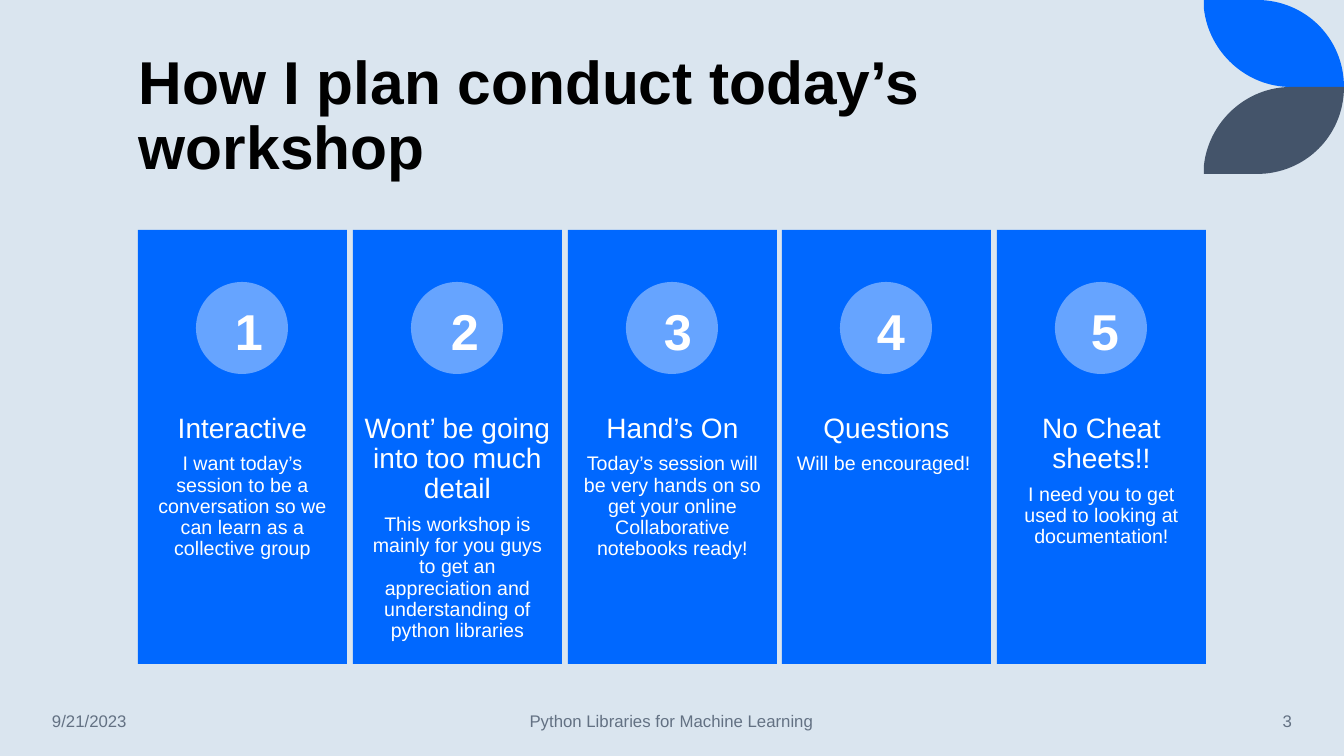
from lxml import etree
from pptx import Presentation
from pptx import util as u
from pptx.dml.color import RGBColor
from pptx.enum import shapes, text
from pptx.oxml import ns

PX = 914400 / 100.8
BLUE, PALE, SLATE, GREY = "0068FF", "66A4FF", "44546A", "637183"
WHITE, BLACK, SKY = "FFFFFF", "000000", "DAE5EF"
LEFT, MID, RIGHT = text.PP_ALIGN.LEFT, text.PP_ALIGN.CENTER, text.PP_ALIGN.RIGHT
TOP, HALF, LOW = text.MSO_ANCHOR.TOP, text.MSO_ANCHOR.MIDDLE, text.MSO_ANCHOR.BOTTOM
RECT, DISC = shapes.MSO_SHAPE.RECTANGLE, shapes.MSO_SHAPE.OVAL

LEAF = [(1204, 0), (1257, 0), (1305, 0), (1344, 38), (1344, 87),
        (1291, 87), (1246, 87), (1209, 52), (1204, 9)]
BENDS = (1, 5)
CARDS = [
    ("Interactive",
     "I want today’s session to be a conversation so we can learn as a collective group", 225),
    ("Wont’ be going into too much detail",
     "This workshop is mainly for you guys to get an appreciation and understanding "
     "of python libraries", 441),
    ("Hand’s On",
     "Today’s session will be very hands on so get your online Collaborative notebooks ready!",
     654),
    ("Questions", "Will be encouraged! ", 867),
    ("No Cheat sheets!!", "I need you to get used to looking at documentation!", 1081),
]
FOOT = [
    ("9/21/2023", (42, 701, 188, 40), LEFT),
    ("Python Libraries for Machine Learning", (445, 701, 453, 40), MID),
    ("3", (1119, 701, 183, 40), RIGHT),
]


def px(n):
    return u.Emu(round(n * PX))


def paint(fill, tint):
    fill.solid()
    fill.fore_color.rgb = RGBColor.from_string(tint)


class Deck:
    """Hold the slide and its shared style."""

    def __init__(self, font):
        self.prs = Presentation()
        self.prs.slide_width, self.prs.slide_height = px(1344), px(756)
        self.page = self.prs.slides.add_slide(self.prs.slide_layouts[6])
        self.font = font
        paint(self.page.background.fill, SKY)

    def plain(self, shape, tint):
        shape.shadow.inherit = False
        paint(shape.fill, tint)
        shape.line.fill.background()

    def shape(self, kind, box, tint):
        self.plain(self.page.shapes.add_shape(kind, *map(px, box)), tint)

    def leaf(self, dots, tint):
        dots = [(px(x), px(y)) for x, y in dots]
        pen = self.page.shapes.build_freeform(*dots[0])
        pen.add_line_segments(dots[1:], close=True)
        shape = pen.convert_to_shape()
        sides = list(shape.element.iter(ns.qn("a:lnTo")))
        for k in BENDS:
            bend = etree.Element(ns.qn("a:cubicBezTo"))
            sides[k].addprevious(bend)
            for side in sides[k:k + 3]:
                bend.append(side[0])
                side.getparent().remove(side)
        self.plain(shape, tint)

    def text(self, box, *lines, tint=WHITE, bold=False, align=MID, anchor=TOP,
             pad=(10, 5), lead=1.0, gap=0):
        frame = self.page.shapes.add_textbox(*map(px, box)).text_frame
        frame.word_wrap = True
        frame.vertical_anchor = anchor
        frame.margin_left = frame.margin_right = px(pad[0])
        frame.margin_top = frame.margin_bottom = px(pad[1])
        for i, (words, size) in enumerate(lines):
            par = frame.add_paragraph() if i else frame.paragraphs[0]
            par.alignment, par.line_spacing = align, lead
            par.space_before = u.Pt(gap if i else 0)
            run = par.add_run()
            run.text = words
            run.font.name, run.font.size, run.font.bold = self.font, u.Pt(size), bold
            run.font.color.rgb = RGBColor.from_string(tint)


def main():
    deck = Deck("Arial")
    deck.leaf(LEAF, BLUE)
    deck.leaf([(x, 174 - y) for x, y in LEAF], SLATE)
    deck.text((129, 42, 1078, 146), ("How I plan conduct today’s workshop", 43.2),
              tint=BLACK, bold=True, align=LEFT, anchor=LOW, lead=0.9)
    for i, (head, body, spot) in enumerate(CARDS):
        x = 138 + round(i * 859 / 4)
        deck.shape(RECT, (x, 230, 209, 434), BLUE)
        deck.text((x, 403, 209, 173), (head, 20), (body, 14),
                  pad=(11, 11), lead=0.9, gap=7)
        deck.shape(DISC, (x + 58, 282, 92, 92), PALE)
        deck.text((spot, 295, 38, 71), (str(i + 1), 36), bold=True)
    for words, box, align in FOOT:
        deck.text(box, (words, 12), tint=GREY, align=align, anchor=HALF)
    deck.prs.save("out.pptx")


if __name__ == "__main__":
    main()
